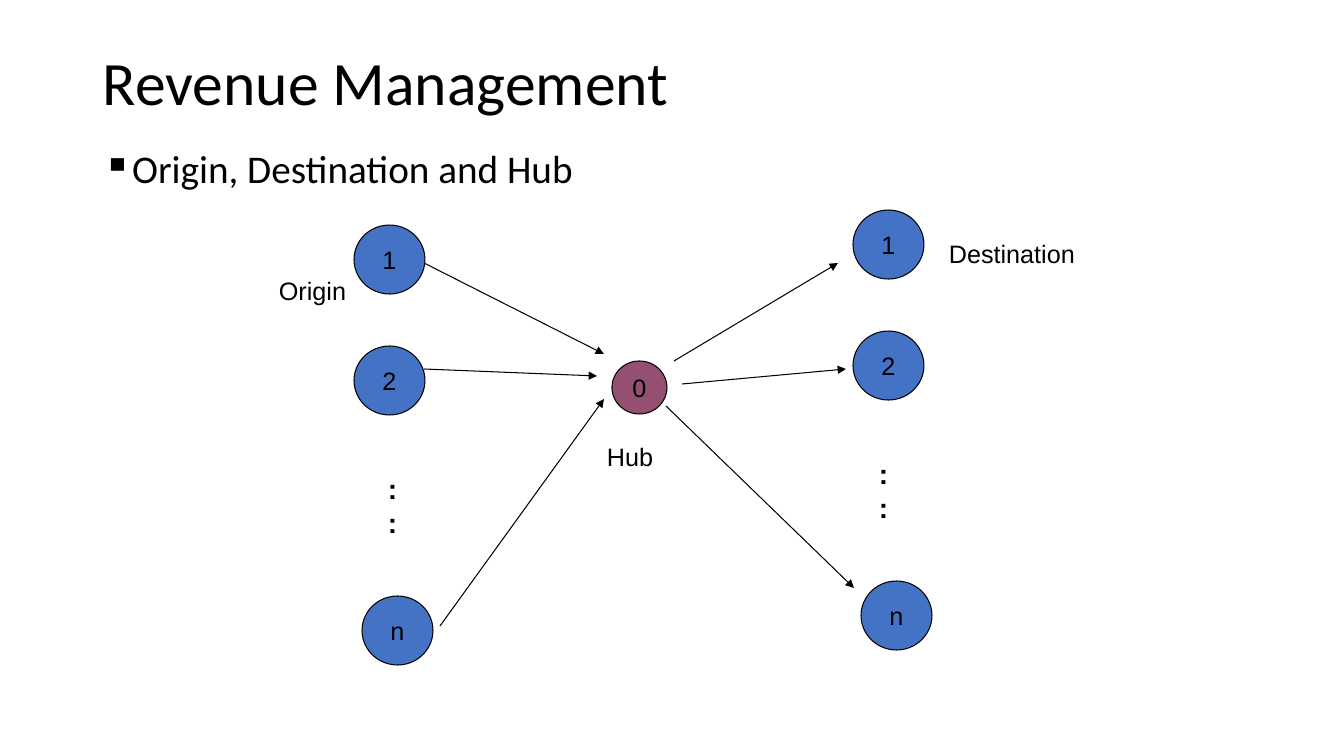
from lxml.etree import SubElement
from pptx import Presentation
from pptx.dml.color import RGBColor
from pptx.enum.shapes import MSO_CONNECTOR, MSO_SHAPE
from pptx.enum.text import MSO_ANCHOR, PP_ALIGN
from pptx.oxml.ns import qn
from pptx.util import Emu, Pt

PX = 914400 / 100.8
BLACK = RGBColor(0x00, 0x00, 0x00)
BLUE = RGBColor(0x44, 0x72, 0xC4)
PLUM = RGBColor(0x95, 0x4F, 0x72)
NODE_SIZE = (71, 69)
ROW_TOPS = (0, 121, 371)


def px(length):
    """Turn a length in px into EMU."""
    return Emu(round(length * PX))


def write(frame, text, size=18, font="Arial", bold=False, align=PP_ALIGN.LEFT,
          anchor=MSO_ANCHOR.TOP, wrap=False, line_spacing=None, bullet=None):
    """Write one formatted paragraph into a text frame."""
    frame.word_wrap = wrap
    frame.vertical_anchor = anchor
    para = frame.paragraphs[0]
    para.text = text
    para.alignment = align
    para.line_spacing = line_spacing
    if bullet:
        properties = para._p.get_or_add_pPr()
        properties.set("marL", "228600")
        properties.set("indent", "-228600")
        SubElement(properties, qn("a:buChar"), char=bullet)
    for span in para.runs:
        span.font.size = Pt(size)
        span.font.name = font
        span.font.bold = bold
        span.font.color.rgb = BLACK


def add_text(page, box, text, **text_format):
    """Add a text box at a box of left, top, width and height."""
    shape = page.shapes.add_textbox(*map(px, box))
    write(shape.text_frame, text, **text_format)


def add_node(page, box, text, color):
    """Add a numbered circle."""
    node = page.shapes.add_shape(MSO_SHAPE.OVAL, *map(px, box))
    node.shadow.inherit = False
    node.fill.solid()
    node.fill.fore_color.rgb = color
    node.line.color.rgb = BLACK
    node.line.width = Pt(0.75)
    write(node.text_frame, text, align=PP_ALIGN.CENTER, anchor=MSO_ANCHOR.MIDDLE)


def add_arrow(page, start, end):
    """Add a thin arrow between two points."""
    arrow = page.shapes.add_connector(MSO_CONNECTOR.STRAIGHT, *map(px, start + end))
    arrow.line.color.rgb = BLACK
    arrow.line.width = Pt(0.75)
    SubElement(arrow.line._get_or_add_ln(), qn("a:tailEnd"), type="triangle")
    SubElement(arrow._element.spPr, qn("a:effectLst"))


def add_heading(page, left, top, width):
    """Add the title and the bullet under it."""
    add_text(page, (left, top, width, 91), "Revenue Management", size=44,
             font="Calibri", anchor=MSO_ANCHOR.MIDDLE, wrap=True, line_spacing=0.9)
    add_text(page, (left, top + 105, width, 560), "Origin, Destination and Hub",
             size=28, font="Calibri", wrap=True, line_spacing=0.9, bullet="▪")


def add_column(page, left, top, label, label_box, dots_shift, arrows):
    """Add a column of nodes with its label, dots and arrows."""
    for text, row_top, shift in zip("12n", ROW_TOPS, (0, 0, 8)):
        add_node(page, (left + shift, top + row_top, *NODE_SIZE), text, BLUE)
    add_text(page, (left + dots_shift, top + 242, 46, 78), ":\n:",
             size=20, bold=True, wrap=True)
    label_left, label_top, width, height = label_box
    add_text(page, (left + label_left, top + label_top, width, height), label)
    for x1, y1, x2, y2 in arrows:
        add_arrow(page, (left + x1, top + y1), (left + x2, top + y2))


def add_hub(page, left, top):
    """Add the hub node and its label."""
    add_node(page, (left, top, 55, 53), "0", PLUM)
    add_text(page, (left - 15, top + 75, 67, 40), "Hub")


def main():
    """Build and save the deck."""
    deck = Presentation()
    deck.slide_width, deck.slide_height = px(1344), px(756)
    page = deck.slides.add_slide(deck.slide_layouts[6])
    add_heading(page, 93, 40, 1159)
    add_column(page, 354, 225, "Origin", (-85, 45, 89, 40), 24,
               [(70, 38, 250, 129), (70, 144, 243, 151), (86, 401, 250, 174)])
    add_hub(page, 612, 361)
    add_column(page, 853, 210, "Destination", (86, 23, 147, 40), 16,
               [(-179, 151, -15, 53), (-171, 174, -7, 159), (-187, 196, 1, 378)])
    deck.save("out.pptx")


if __name__ == "__main__":
    main()
